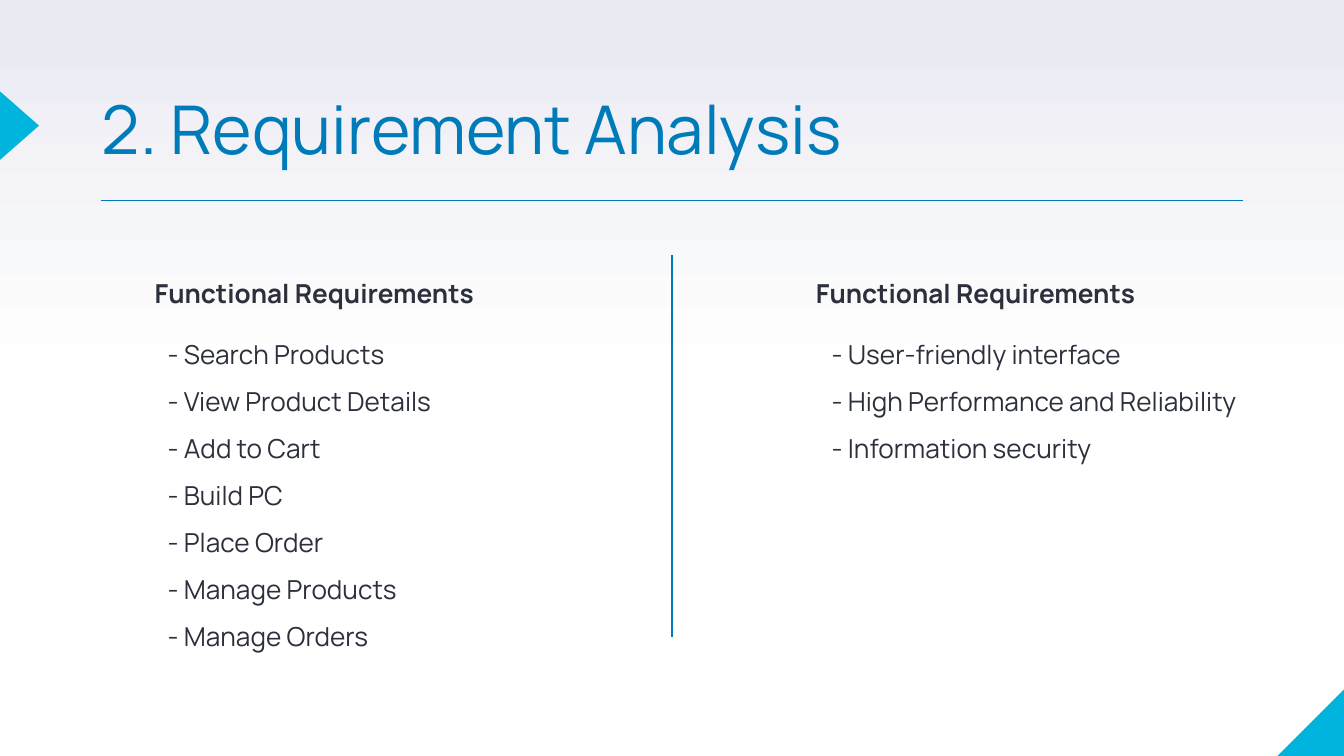
from lxml.etree import SubElement
from pptx import Presentation
from pptx.dml.color import RGBColor
from pptx.enum.shapes import MSO_CONNECTOR, MSO_SHAPE
from pptx.enum.text import MSO_AUTO_SIZE, PP_ALIGN
from pptx.oxml.ns import qn
from pptx.util import Inches, Pt

WHITE = RGBColor(0xFF, 0xFF, 0xFF)
MIST = RGBColor(0xE9, 0xEA, 0xF2)
CYAN = RGBColor(0x00, 0xB5, 0xDD)
BLUE = RGBColor(0x00, 0x7B, 0xB9)
INK = RGBColor(0x2C, 0x2F, 0x3C)


class Deck:
    font = "Manrope"

    def __init__(self, slide):
        self.slide = slide

    def shade(self, low, high):
        """Fade the background upward, from low at mid-height to high at the top."""
        fill = self.slide.background.fill
        fill.gradient()
        fill.gradient_angle = 90
        for stop, place, color in zip(fill.gradient_stops, (0.5, 1), (low, high)):
            stop.position = place
            stop.color.rgb = color

    def shape(self, kind, box, turn):
        shape = self.slide.shapes.add_shape(kind, *map(Inches, box))
        shape.rotation = turn
        shape.shadow.inherit = False
        shape.fill.solid()
        shape.fill.fore_color.rgb = CYAN
        shape.line.fill.background()

    def line(self, *ends):
        line = self.slide.shapes.add_connector(
            MSO_CONNECTOR.STRAIGHT, *map(Inches, ends))
        line.line.color.rgb = BLUE
        line.line.width = Pt(0.75)
        SubElement(line._element.spPr, qn("a:effectLst"))

    def text(self, lines, box, size=14, color=INK, bold=False,
             align=PP_ALIGN.LEFT, space=1.5, wrap=True):
        frame = self.slide.shapes.add_textbox(*map(Inches, box)).text_frame
        frame.word_wrap = wrap
        frame.auto_size = MSO_AUTO_SIZE.SHAPE_TO_FIT_TEXT
        frame.text = "\n".join(lines)
        for para in frame.paragraphs:
            para.alignment = align
            para.line_spacing = space
            para.font.name = self.font
            para.font.size = Pt(size)
            para.font.bold = bold
            para.font.color.rgb = color


def main():
    show = Presentation()
    show.slide_width = Inches(10)
    show.slide_height = Inches(10 * 9 / 16)
    deck = Deck(show.slides.add_slide(show.slide_layouts[6]))

    deck.shade(WHITE, MIST)
    deck.shape(MSO_SHAPE.RIGHT_TRIANGLE, (9.5, 5.12, 0.51, 0.51), 270)
    deck.shape(MSO_SHAPE.ISOSCELES_TRIANGLE, (-0.11, 0.79, 0.51, 0.29), 90)

    deck.text(["2. Requirement Analysis"], (0.66, 0.6, 5.78, 0.71),
              size=36, color=BLUE, space=1, wrap=False)
    deck.line(0.75, 1.49, 9.25, 1.49)
    deck.line(5, 1.9, 5, 4.74)

    columns = [
        (0.66, 1.15, 2.53, ["Search Products", "View Product Details",
                            "Add to Cart", "Build PC", "Place Order",
                            "Manage Products", "Manage Orders"]),
        (5.58, 6.09, 1.12, ["User-friendly interface",
                            "High Performance and Reliability",
                            "Information security"]),
    ]
    for head, left, height, items in columns:
        deck.text(["Functional Requirements"], (head, 1.9, 3.36, 0.41),
                  bold=True, align=PP_ALIGN.CENTER)
        deck.text([f"- {item}" for item in items], (left, 2.35, 3.36, height))

    show.save("out.pptx")


if __name__ == "__main__":
    main()
